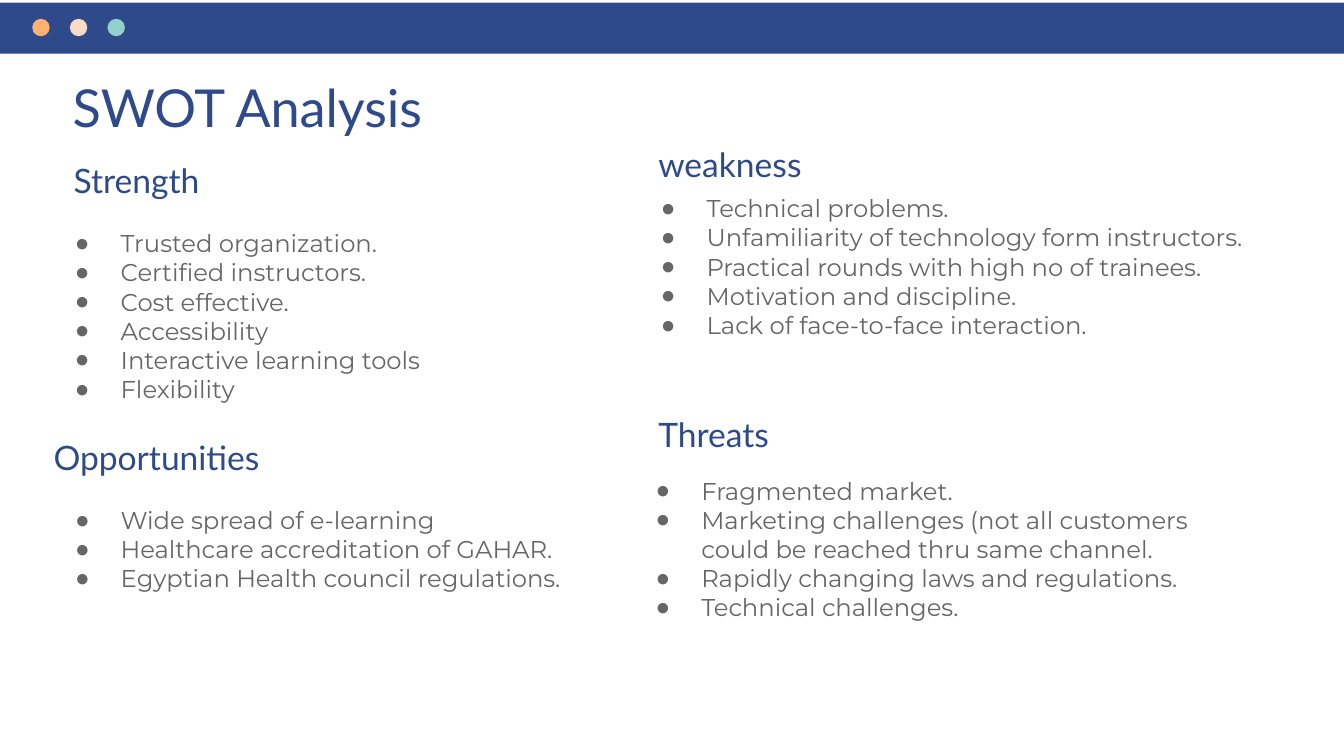
import pptx
import pptx.util
import pptx.dml.color
import pptx.enum.shapes
import pptx.enum.text
import pptx.oxml.ns
import lxml.etree

Inches = pptx.util.Inches
SHAPE = pptx.enum.shapes.MSO_SHAPE
theme = {
    "navy": "2F4A8A", "gray": "666666",
    "dots": ["FFB172", "F8DBC4", "90D1CB"],
    "title": 28, "head": 18, "body": 13,
    "display": "Lato", "text": "Montserrat", "bullet": "Arial",
}

# Widescreen page, 16 to 9
deck = pptx.Presentation()
deck.slide_width, deck.slide_height = Inches(10), Inches(10 * 9 / 16)
slide = deck.slides.add_slide(deck.slide_layouts[5])


def write(lines, box, size, font, color, shape=None, bullet=False):
    """Fill a text box, or the given shape, with one paragraph a line."""
    place = [Inches(v) for v in box]
    if shape is None:
        shape = slide.shapes.add_textbox(*place)
    shape.left, shape.top, shape.width, shape.height = place
    frame = shape.text_frame
    frame.word_wrap = True
    frame.auto_size = pptx.enum.text.MSO_AUTO_SIZE.NONE
    frame.vertical_anchor = pptx.enum.text.MSO_ANCHOR.TOP
    frame.margin_left = frame.margin_right = Inches(0.1)
    frame.margin_top = frame.margin_bottom = Inches(0.1)
    frame.text = "\n".join(lines)
    for para in frame.paragraphs:
        para.alignment = pptx.enum.text.PP_ALIGN.LEFT
        face = para.runs[0].font
        face.size, face.name = pptx.util.Pt(size), font
        face.color.rgb = pptx.dml.color.RGBColor.from_string(color)
        if bullet:
            props = para._p.get_or_add_pPr()
            props.set("marL", str(Inches(0.5)))
            props.set("indent", str(Inches(-0.34)))
            qn = pptx.oxml.ns.qn
            tint = lxml.etree.SubElement(props, qn("a:buClr"))
            lxml.etree.SubElement(tint, qn("a:srgbClr"), val=color)
            lxml.etree.SubElement(props, qn("a:buFont"), typeface=theme["bullet"])
            lxml.etree.SubElement(props, qn("a:buChar"), char="●")


def draw(kind, box, color):
    """Add a plain filled shape."""
    shape = slide.shapes.add_shape(kind, *[Inches(v) for v in box])
    shape.shadow.inherit = False
    shape.fill.solid()
    shape.fill.fore_color.rgb = pptx.dml.color.RGBColor.from_string(color)
    shape.line.fill.background()


# Title
write(["SWOT Analysis"], (0.44, 0.46, 8.44, 0.51), theme["title"],
      theme["display"], theme["navy"], shape=slide.shapes.title)

# Four parts: heading, its box, list box, list items
parts = [
    ("Strength", (0.45, 1.09, 2.92, 0.51), (0.3, 1.6, 3.9, 1.14),
     ["Trusted organization.", "Certified instructors.", "Cost effective.",
      "Accessibility", "Interactive learning tools", "Flexibility"]),
    ("Opportunities", (0.3, 3.15, 2.92, 0.51), (0.3, 3.66, 3.98, 1.34),
     ["Wide spread of e-learning", "Healthcare accreditation of GAHAR.",
      "Egyptian Health council regulations."]),
    ("weakness", (4.8, 0.97, 2.98, 0.51), (4.66, 1.34, 4.88, 1.8),
     ["Technical problems.", "Unfamiliarity of technology form instructors.",
      "Practical rounds with high no of trainees.",
      "Motivation and discipline.", "Lack of face-to-face interaction."]),
    ("Threats", (4.8, 2.98, 2.98, 0.51), (4.62, 3.44, 4.79, 1.63),
     ["Fragmented market.",
      "Marketing challenges (not all customers could be reached thru same channel.",
      "Rapidly changing laws and regulations.", "Technical challenges."]),
]
for head, top, area, items in parts:
    write([head], top, theme["head"], theme["display"], theme["navy"])
    write(items, area, theme["body"], theme["text"], theme["gray"], bullet=True)

# Window bar with three dots
draw(SHAPE.RECTANGLE, (0, 0.02, 10, 0.38), theme["navy"])
for i, color in enumerate(theme["dots"]):
    draw(SHAPE.OVAL, (0.24 + 0.28 * i, 0.14, 0.13, 0.13), color)

deck.save("out.pptx")
